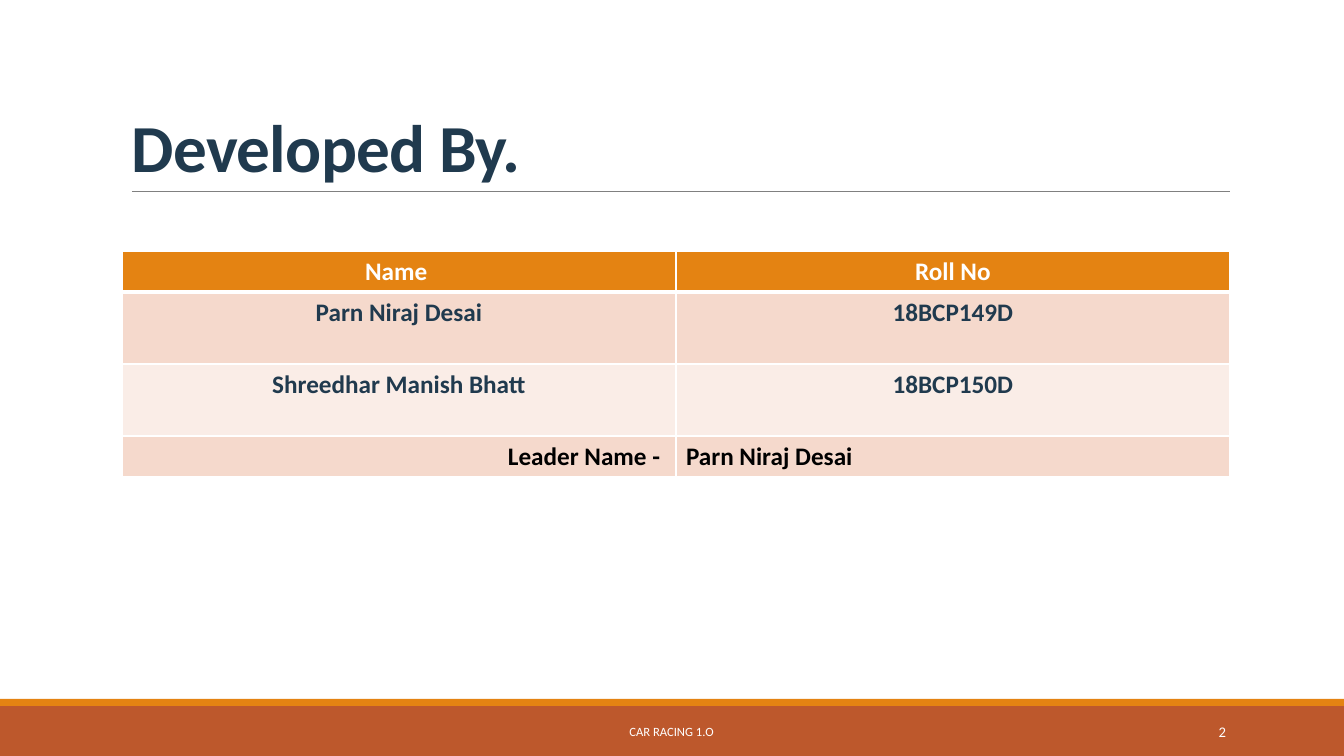
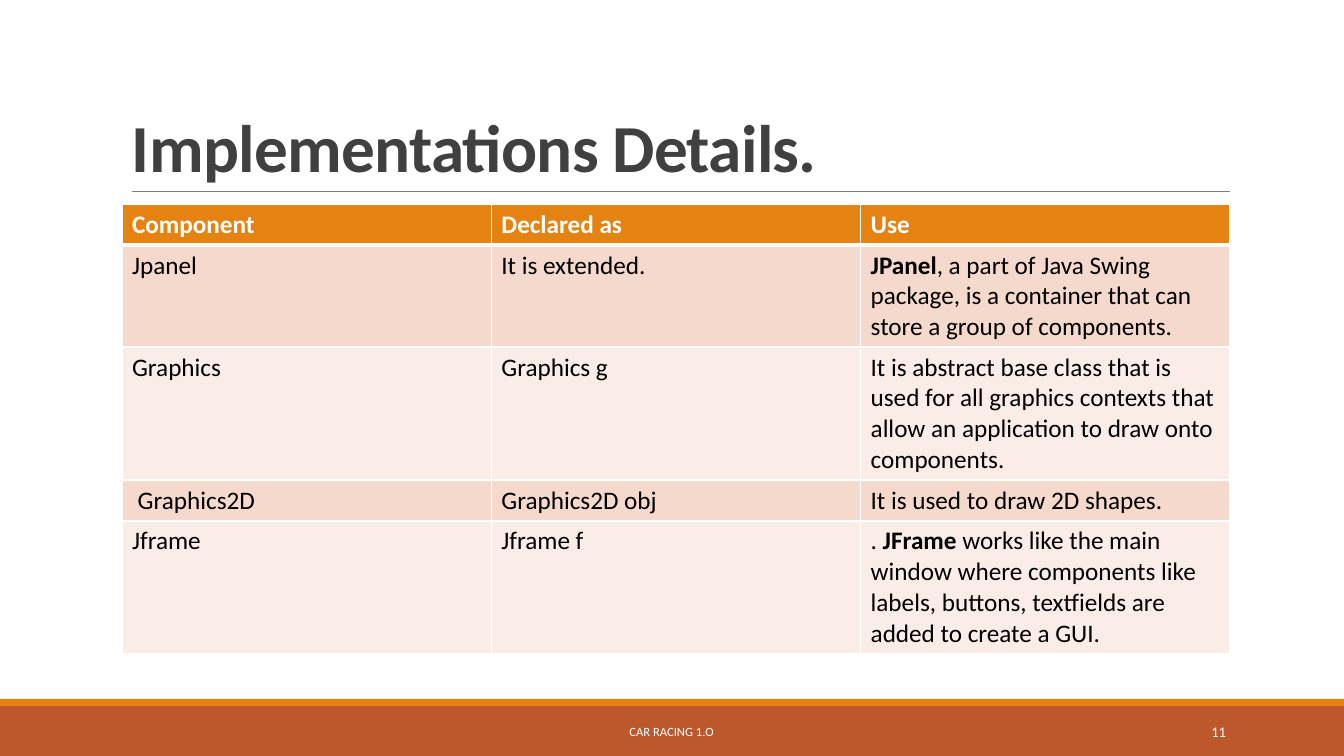
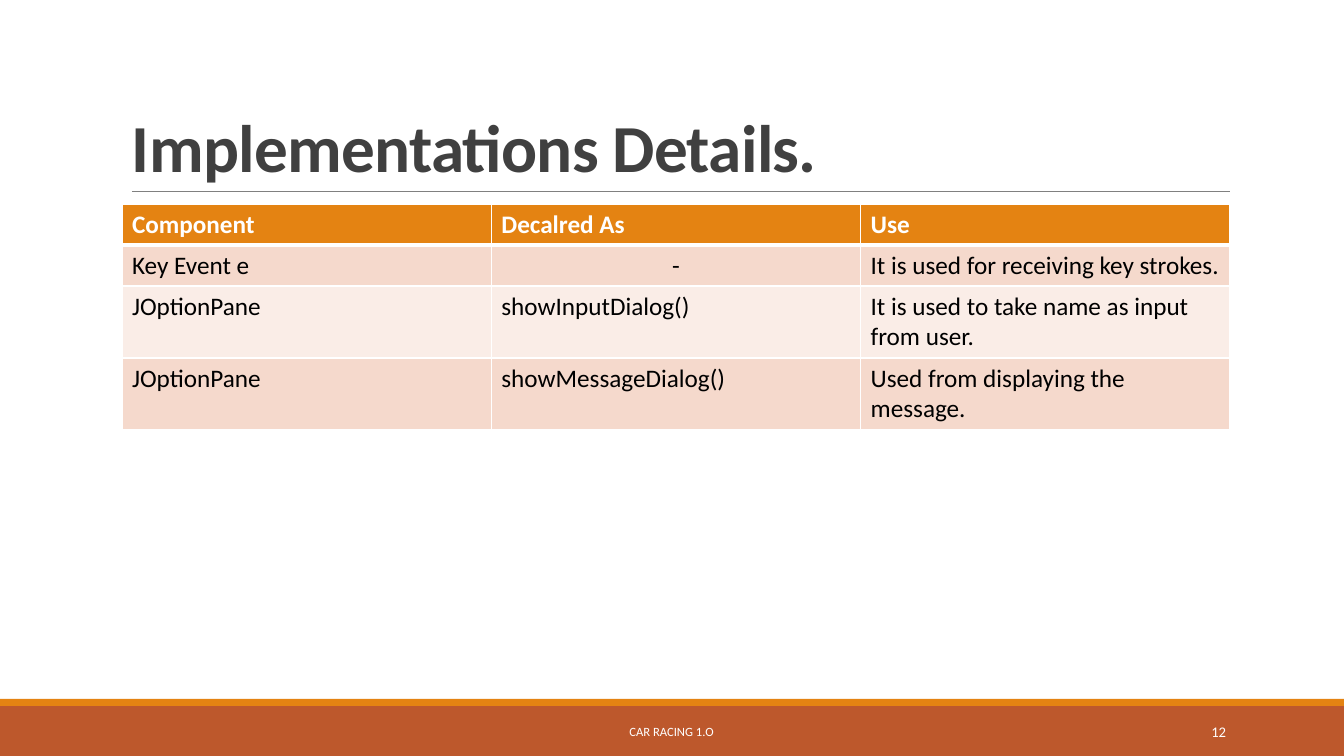
from lxml import etree
from pptx import Presentation
from pptx.dml.color import RGBColor
from pptx.enum.shapes import MSO_CONNECTOR, MSO_SHAPE
from pptx.enum.text import MSO_ANCHOR, PP_ALIGN
from pptx.oxml.ns import qn
from pptx.util import Pt

LEFT, MID, RIGHT = PP_ALIGN.LEFT, PP_ALIGN.CENTER, PP_ALIGN.RIGHT
BOTTOM, CENTER = MSO_ANCHOR.BOTTOM, MSO_ANCHOR.MIDDLE
RECT, LINE = MSO_SHAPE.RECTANGLE, MSO_CONNECTOR.STRAIGHT

FONT = "Calibri"
SCALE = 914400 / 100.8
WIDE, HIGH = 1344, 756
HUES = {"band": "BD582C", "head": "E48312", "odd": "F5D9CC", "even": "FAEDE7",
        "rule": "808080", "white": "FFFFFF", "black": "000000",
        "navy": "203A4E", "grey": "404040"}
SIDE, SPAN = 122, 1108  # left edge and width of title and table


def px(n):
    """Turn pixels into EMU."""
    return round(n * SCALE)


def hue(name):
    """Look up a colour by name."""
    return RGBColor.from_string(HUES[name])


def add_run(para, text, size, color, bold=False):
    """Add one styled run to a paragraph."""
    run = para.add_run()
    run.text = text
    font = run.font
    font.name, font.size, font.bold = FONT, Pt(size), bold
    font.color.rgb = hue(color)
    return run


def add_text(slide, box, anchor, align):
    """Add a wrapped text box and return its paragraph."""
    frame = slide.shapes.add_textbox(*map(px, box)).text_frame
    frame.word_wrap = True
    frame.vertical_anchor = anchor
    para = frame.paragraphs[0]
    para.alignment = align
    return para


def add_bar(slide, box, color):
    """Add a plain filled bar."""
    bar = slide.shapes.add_shape(RECT, *map(px, box))
    bar.shadow.inherit = False
    bar.fill.solid()
    bar.fill.fore_color.rgb = hue(color)
    bar.line.fill.background()


def add_foot(slide, box, page):
    """Draw the bottom band with its stripe, footer and page number."""
    left, top, width, height = box
    add_bar(slide, box, "band")
    add_bar(slide, (left, top - 7, width, 7), "head")
    foot = add_text(slide, (left + 406, top + 6, 531, 40), CENTER, MID)
    add_run(foot, "CAR RACING 1.O", 9, "white")
    num = add_text(slide, (left + 1092, top + 6, 144, 40), CENTER, RIGHT)
    add_run(num, str(page), 10.5, "white")


def add_title(slide, box, text, color):
    """Draw the title and the rule below it."""
    left, top, width, height = box
    para = add_text(slide, box, BOTTOM, LEFT)
    para.line_spacing = 0.85
    run = add_run(para, text, 48, color, True)
    run.font._element.set("spc", "-50")
    base = top + height
    rule = slide.shapes.add_connector(
        LINE, px(left + 10), px(base), px(left + width), px(base))
    rule.line.color.rgb = hue("rule")
    rule.line.width = Pt(0.5)
    etree.SubElement(rule._element.spPr, qn("a:effectLst"))


def edge_cell(cell, row):
    """Give a cell white borders, thick below the head row."""
    props = cell._tc.get_or_add_tcPr()
    for side in "LRTB":
        thick = (row, side) in ((0, "B"), (1, "T"))
        line = etree.SubElement(props, qn("a:ln" + side),
                                w=str(Pt(3 if thick else 1)))
        fill = etree.SubElement(line, qn("a:solidFill"))
        etree.SubElement(fill, qn("a:srgbClr"), val=HUES["white"])


def add_grid(slide, box, rows, lines, look):
    """Draw a table; look(row, col) gives alignment, text colour and bold."""
    left, top, width = box
    highs = [round(10 + 30.8 * n) for n in lines]
    count = len(rows[0])
    grid = slide.shapes.add_table(
        len(rows), count, px(left), px(top), px(width), px(sum(highs))).table
    for col in grid.columns:
        col.width = px(width / count)
    for r, row in enumerate(rows):
        grid.rows[r].height = px(highs[r])
        shade = "head" if r == 0 else ("even", "odd")[r % 2]
        for c, parts in enumerate(row):
            cell = grid.cell(r, c)
            edge_cell(cell, r)
            cell.fill.solid()
            cell.fill.fore_color.rgb = hue(shade)
            align, color, bold = look(r, c)
            para = cell.text_frame.paragraphs[0]
            para.alignment = align
            if isinstance(parts, str):
                parts = [(parts, bold)]
            for text, heavy in parts:
                add_run(para, text, 18, color, heavy)


def team_look(r, c):
    """Style the team table, whose last row names the leader."""
    if r == 3:
        return (RIGHT, LEFT)[c], "black", True
    return MID, "navy" if r else "white", True


def part_look(r, c):
    """Style a component table."""
    return LEFT, "black" if r else "white", r == 0


def key_look(r, c):
    """Style a component table with a centred dash."""
    align, color, bold = part_look(r, c)
    return MID if (r, c) == (1, 1) else align, color, bold


def add_page(deck, page, title, color, top, rows, lines, look):
    """Build one slide: footer, title and table."""
    slide = deck.slides.add_slide(deck.slide_layouts[6])
    add_foot(slide, (0, 706, WIDE, 50), page)
    add_title(slide, (SIDE, 31, SPAN, 160), title, color)
    add_grid(slide, (SIDE, top, SPAN), rows, lines, look)


TEAM = [
    ("Name ", "Roll No"),
    ("Parn Niraj Desai", "18BCP149D"),
    ("Shreedhar Manish Bhatt", "18BCP150D"),
    ("Leader Name - ", "Parn Niraj Desai"),
]
PARTS = [
    ("Component", "Declared as", "Use"),
    ("Jpanel", "It is extended.",
     [("JPanel", True),
      (", a part of Java Swing package, is a container that can store "
       "a group of components.", False)]),
    ("Graphics", "Graphics g",
     "It is abstract base class that is used for all graphics contexts "
     "that allow an application to draw onto components."),
    (" Graphics2D", "Graphics2D obj", "It is used to draw 2D shapes."),
    ("Jframe ", "Jframe f",
     [(".\u00a0", False), ("JFrame", True),
      ("\u00a0works like the main window where components like labels, "
       "buttons, textfields are added to create a GUI.", False)]),
]
KEYS = [
    ("Component", "Decalred As", "Use"),
    ("Key Event e", "-", "It is used for receiving key strokes."),
    ("JOptionPane", "showInputDialog()",
     "It is used to take name as input from user."),
    ("JOptionPane", "showMessageDialog()",
     "Used from displaying the message."),
]
DETAILS = "Implementations Details."

deck = Presentation()
deck.slide_width, deck.slide_height = px(WIDE), px(HIGH)
add_page(deck, 2, "Developed By.", "navy", 251, TEAM, (1, 2, 2, 1), team_look)
add_page(deck, 11, DETAILS, "grey", 204, PARTS, (1, 3, 4, 1, 4), part_look)
add_page(deck, 12, DETAILS, "grey", 204, KEYS, (1, 1, 2, 2), key_look)
deck.save("out.pptx")
